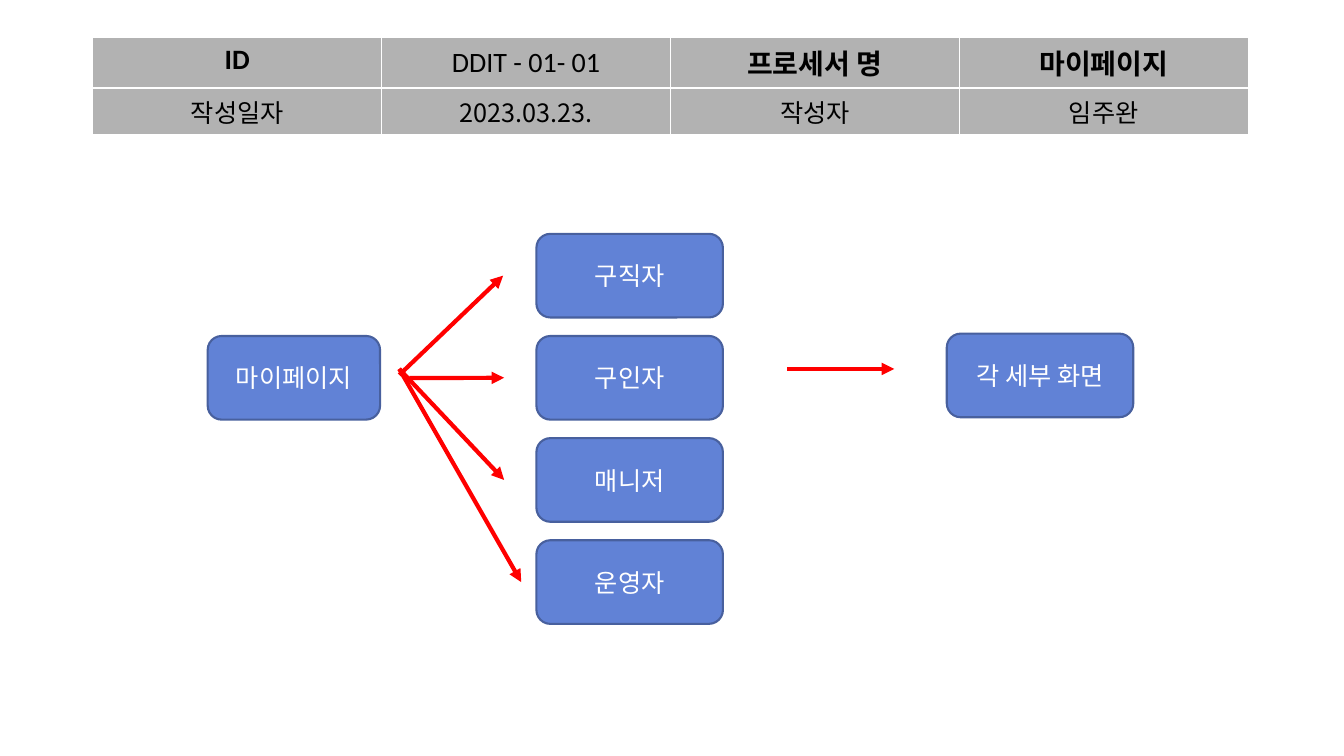
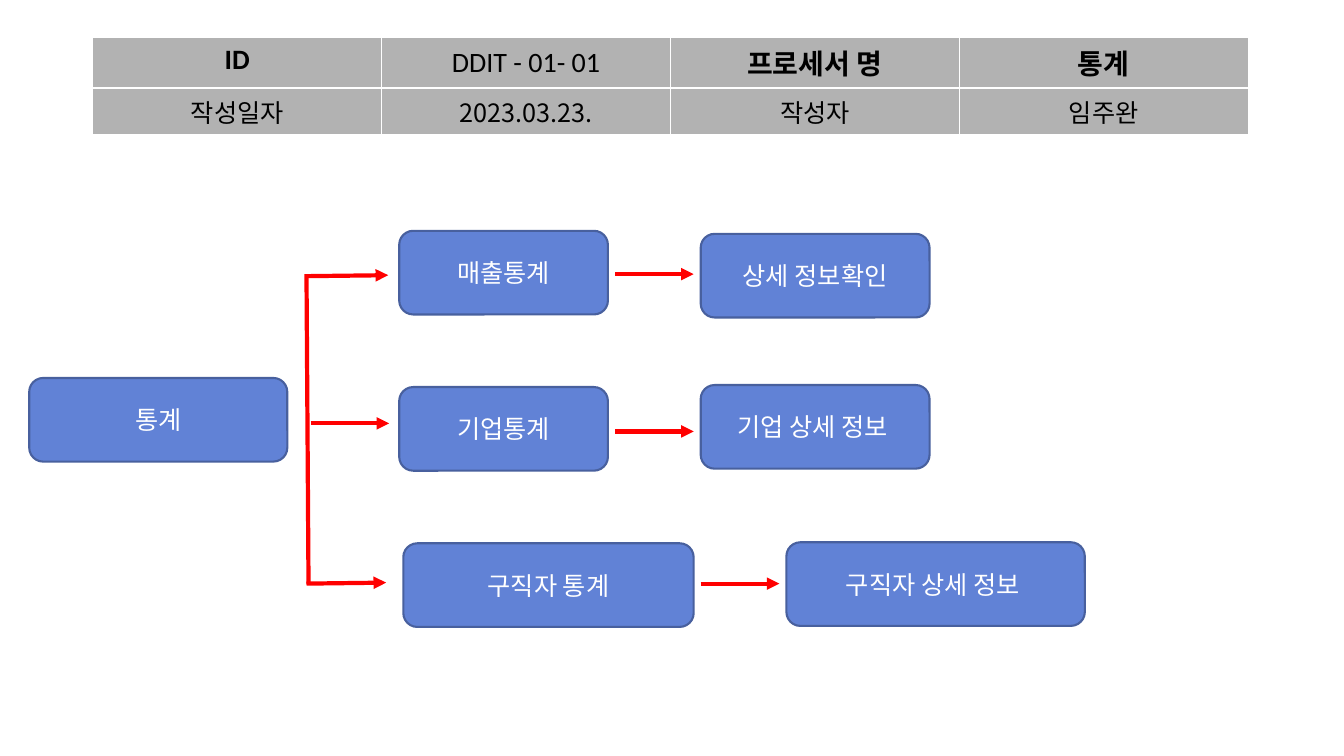
from lxml import etree
from pptx import Presentation
from pptx import util as u
from pptx.dml.color import RGBColor
from pptx.enum import shapes, text
from pptx.oxml import ns

PX = 9144  # EMU in one px: 100 px to the inch
WHITE = RGBColor(0xFF, 0xFF, 0xFF)
BLACK = RGBColor(0x00, 0x00, 0x00)
GRAY = RGBColor(0xB2, 0xB2, 0xB2)
BLUE = RGBColor(0x61, 0x82, 0xD6)
DARK_BLUE = RGBColor(0x48, 0x60, 0x9E)
RED = RGBColor(0xFF, 0x00, 0x00)
LATIN = "Calibri"
KOREAN = "Noto Sans CJK KR"

# Areas as left, top, width, height
HEADER_AREA = (92, 37, 1146, 84)
ROLE_AREA = (206, 232, 918, 387)
STATS_AREA = (29, 229, 1048, 393)
NODE_HEIGHT = 83


def px(length):
    return u.Emu(round(length * PX))


def add_child(parent, tag, **attributes):
    return etree.SubElement(parent, ns.qn(tag), attributes)


def style_text(para, words, size, color, face=KOREAN, bold=False):
    para.text = words
    para.alignment = text.PP_ALIGN.CENTER
    font = para.font
    font.name, font.size, font.bold = face, u.Pt(size), bold
    font.color.rgb = color
    add_child(para._p.pPr.find(ns.qn("a:defRPr")), "a:ea", typeface=KOREAN)


def add_node(page, left, top, width, words):
    node = page.shapes.add_shape(
        shapes.MSO_SHAPE.ROUNDED_RECTANGLE,
        px(left), px(top), px(width), px(NODE_HEIGHT))
    node.shadow.inherit = False
    node.fill.solid()
    node.fill.fore_color.rgb = BLUE
    node.line.color.rgb = DARK_BLUE
    node.line.width = u.Pt(1.5)
    frame = node.text_frame
    frame.word_wrap = True
    frame.vertical_anchor = text.MSO_ANCHOR.MIDDLE
    style_text(frame.paragraphs[0], words, 18, WHITE)


def add_line(page, area, start, end, arrow=True):
    """Draw a red line between two points of the area."""
    left, top = area[:2]
    line = page.shapes.add_connector(
        shapes.MSO_CONNECTOR.STRAIGHT,
        px(left + start[0]), px(top + start[1]),
        px(left + end[0]), px(top + end[1]))
    line.line.color.rgb = RED
    line.line.width = u.Pt(3)
    if arrow:
        add_child(line.line._get_or_add_ln(), "a:tailEnd", type="triangle")
    add_child(line._element.spPr, "a:effectLst")


def fill_cell(cell):
    properties = cell._tc.get_or_add_tcPr()
    for side in ("a:lnL", "a:lnR", "a:lnT", "a:lnB"):
        border = add_child(properties, side, w=str(u.Pt(1)))
        add_child(add_child(border, "a:solidFill"), "a:srgbClr", val=str(WHITE))
    cell.fill.solid()
    cell.fill.fore_color.rgb = GRAY


def add_header(page, area, process):
    left, top, width, height = area
    rows = (("ID", "DDIT - 01- 01", "프로세서 명", process),
            ("작성일자", "2023.03.23.", "작성자", "임주완"))
    table = page.shapes.add_table(
        2, 4, px(left), px(top), px(width), px(height)).table
    table.first_row = table.horz_banding = False
    for column in table.columns:
        column.width = px(width / 4)
    table.rows[0].height, table.rows[1].height = px(43), px(height - 43)
    for r, row in enumerate(rows):
        size, face = ((20, LATIN), (18, KOREAN))[r]
        for c, words in enumerate(row):
            cell = table.cell(r, c)
            fill_cell(cell)
            style_text(cell.text_frame.paragraphs[0], words, size, BLACK,
                       face, bold=r == 0 and c != 1)
    # The document number sits in the middle of its cell
    number = table.cell(0, 1)
    number.vertical_anchor = text.MSO_ANCHOR.MIDDLE
    number.margin_left = number.margin_right = 0
    number.margin_top = number.margin_bottom = 0


def add_role_flow(page, area):
    left, top, width, height = area
    step = (height - NODE_HEIGHT) / 3
    # Role, arrow start, arrow end x
    roles = (("구직자", (190, 140), 293),
             ("구인자", (200, 143), 294),
             ("매니저", (190, 134), 294),
             ("운영자", (190, 134), 311))
    add_node(page, left, top + step, 171, "마이페이지")
    for i, (role, start, tip) in enumerate(roles):
        add_line(page, area, start, (tip, i * step + NODE_HEIGHT / 2))
        add_node(page, left + 326, top + i * step, 185, role)
    # Detail screens
    add_line(page, area, (575, 134), (681, 134))
    add_node(page, left + width - 185, top + 99, 185, "각 세부 화면")


def add_stats_flow(page, area):
    left, top, width, height = area
    step = (height - NODE_HEIGHT) / 2
    # Statistic, left, width; detail, top shift, width; arrow y; branch ends
    rows = (
        ("매출통계", 367, 207, "상세 정보확인", 3, 227, 43, (274, 45), (356, 44)),
        ("기업통계", 367, 207, "기업 상세 정보 ", -2, 227, 199, (279, 191), (357, 191)),
        ("구직자 통계", 371, 288, "구직자 상세 정보 ", -1, 296, 350, (275, 350), (354, 349)),
    )
    add_node(page, left, top + 146, 256, "통계")
    add_line(page, area, (275, 43), (277, 350), arrow=False)
    for i, (stat, x, stat_width, detail, shift, detail_width,
            arrow_y, start, end) in enumerate(rows):
        y = top + i * step
        edge = x + stat_width
        add_line(page, area, start, end)
        add_node(page, left + x, y, stat_width, stat)
        add_line(page, area, (edge + 7, arrow_y), (edge + 85, arrow_y))
        add_node(page, left + edge + 92, y + shift, detail_width, detail)


def main():
    deck = Presentation()
    deck.slide_width, deck.slide_height = u.Inches(13.33), u.Inches(7.5)
    slides = (("마이페이지", add_role_flow, ROLE_AREA),
              ("통계", add_stats_flow, STATS_AREA))
    for process, add_flow, area in slides:
        page = deck.slides.add_slide(deck.slide_layouts[6])
        add_header(page, HEADER_AREA, process)
        add_flow(page, area)
    deck.save("out.pptx")


if __name__ == "__main__":
    main()
